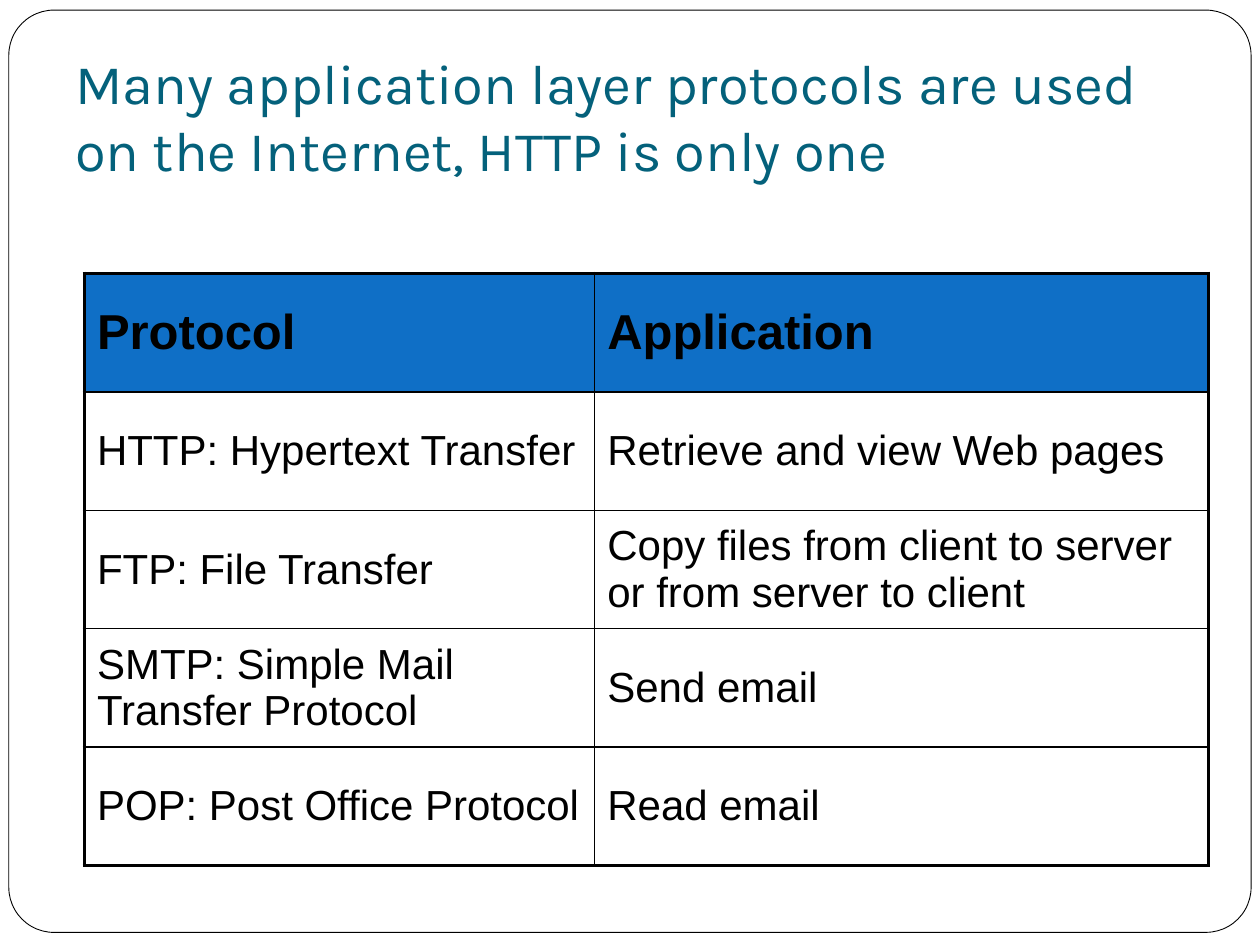
from dataclasses import dataclass

from lxml.etree import SubElement
from pptx import Presentation
from pptx.dml.color import RGBColor
from pptx.enum.shapes import MSO_SHAPE
from pptx.enum.text import MSO_ANCHOR
from pptx.oxml.ns import qn
from pptx.util import Inches, Pt


@dataclass(frozen=True)
class Theme:
    paper: RGBColor = RGBColor(0xFF, 0xFF, 0xFF)
    ink: RGBColor = RGBColor(0x00, 0x00, 0x00)
    title: RGBColor = RGBColor(0x04, 0x61, 0x7B)
    header: RGBColor = RGBColor(0x0F, 0x6F, 0xC6)
    title_font: str = "Karla"
    table_font: str = "Arial"
    title_size: Pt = Pt(32)
    header_size: Pt = Pt(28)
    body_size: Pt = Pt(24)
    frame_line: Pt = Pt(0.5)
    inner_line: Pt = Pt(1)
    outer_line: Pt = Pt(2.25)


THEME = Theme()
WIDTH, HEIGHT = Inches(10), Inches(7.5)

TITLE = "Many application layer protocols are used on the Internet, HTTP is only one"
ROWS = [
    ("Protocol", "Application"),
    ("HTTP: Hypertext Transfer", "Retrieve and view Web pages"),
    ("FTP: File Transfer", "Copy files from client to server or from server to client"),
    ("SMTP: Simple Mail Transfer Protocol", "Send email"),
    ("POP: Post Office Protocol", "Read email"),
]
COLUMN_WIDTHS = (Inches(4.05), Inches(4.87))
ROW_HEIGHT = Inches(0.94)


def set_all(target, values):
    for name, value in values.items():
        setattr(target, name, value)


def write_text(frame, text, color, **font_values):
    span = frame.paragraphs[0].add_run()
    span.text = text
    set_all(span.font, font_values)
    span.font.color.rgb = color


def add_frame(page):
    """Rounded outline with an equal margin on all sides."""
    left, top = Inches(0.07), Inches(0.08)
    frame = page.shapes.add_shape(
        MSO_SHAPE.ROUNDED_RECTANGLE, left, top, WIDTH - 2 * left, Inches(7.32))
    frame.adjustments[0] = 0.049
    frame.shadow.inherit = False
    frame.fill.solid()
    frame.fill.fore_color.rgb = THEME.paper
    frame.line.color.rgb = THEME.ink
    frame.line.width = THEME.frame_line


def add_title(page):
    margin = int(WIDTH * 0.05)
    box = page.shapes.add_textbox(
        margin, int(HEIGHT * 0.04), WIDTH - 2 * margin, Inches(1.25))
    set_all(box.text_frame, {
        "word_wrap": True,
        "vertical_anchor": MSO_ANCHOR.BOTTOM,
        "margin_bottom": Inches(0.1),
    })
    write_text(box.text_frame, TITLE, THEME.title,
               name=THEME.title_font, size=THEME.title_size)


def add_borders(cell, outer_sides):
    """Draw all four sides, heavier where the cell meets the table's edge."""
    properties = cell._tc.get_or_add_tcPr()
    for side, is_outer in outer_sides.items():
        width = THEME.outer_line if is_outer else THEME.inner_line
        line = SubElement(properties, qn(f"a:ln{side}"), w=str(int(width)))
        fill = SubElement(line, qn("a:solidFill"))
        SubElement(fill, qn("a:srgbClr"), val=str(THEME.ink))


def add_protocol_table(page):
    row_count, column_count = len(ROWS), len(COLUMN_WIDTHS)
    table = page.shapes.add_table(
        row_count, column_count, Inches(0.67), Inches(2.17),
        sum(COLUMN_WIDTHS), ROW_HEIGHT * row_count).table
    set_all(table, {"first_row": False, "horz_banding": False})
    for column, width in zip(table.columns, COLUMN_WIDTHS):
        column.width = width
    for row in table.rows:
        row.height = ROW_HEIGHT

    for row_index, texts in enumerate(ROWS):
        is_header = row_index == 0
        for column_index, text in enumerate(texts):
            cell = table.cell(row_index, column_index)
            cell.vertical_anchor = MSO_ANCHOR.MIDDLE
            add_borders(cell, {
                "L": column_index == 0,
                "R": column_index == column_count - 1,
                "T": is_header,
                "B": row_index == row_count - 1,
            })
            if is_header:
                cell.fill.solid()
                cell.fill.fore_color.rgb = THEME.header
            else:
                cell.fill.background()
            write_text(cell.text_frame, text, THEME.ink,
                       name=THEME.table_font, bold=is_header,
                       size=THEME.header_size if is_header else THEME.body_size)


def main():
    deck = Presentation()
    set_all(deck, {"slide_width": WIDTH, "slide_height": HEIGHT})
    page = deck.slides.add_slide(deck.slide_layouts[6])
    add_frame(page)
    add_title(page)
    add_protocol_table(page)
    deck.save("out.pptx")


if __name__ == "__main__":
    main()
